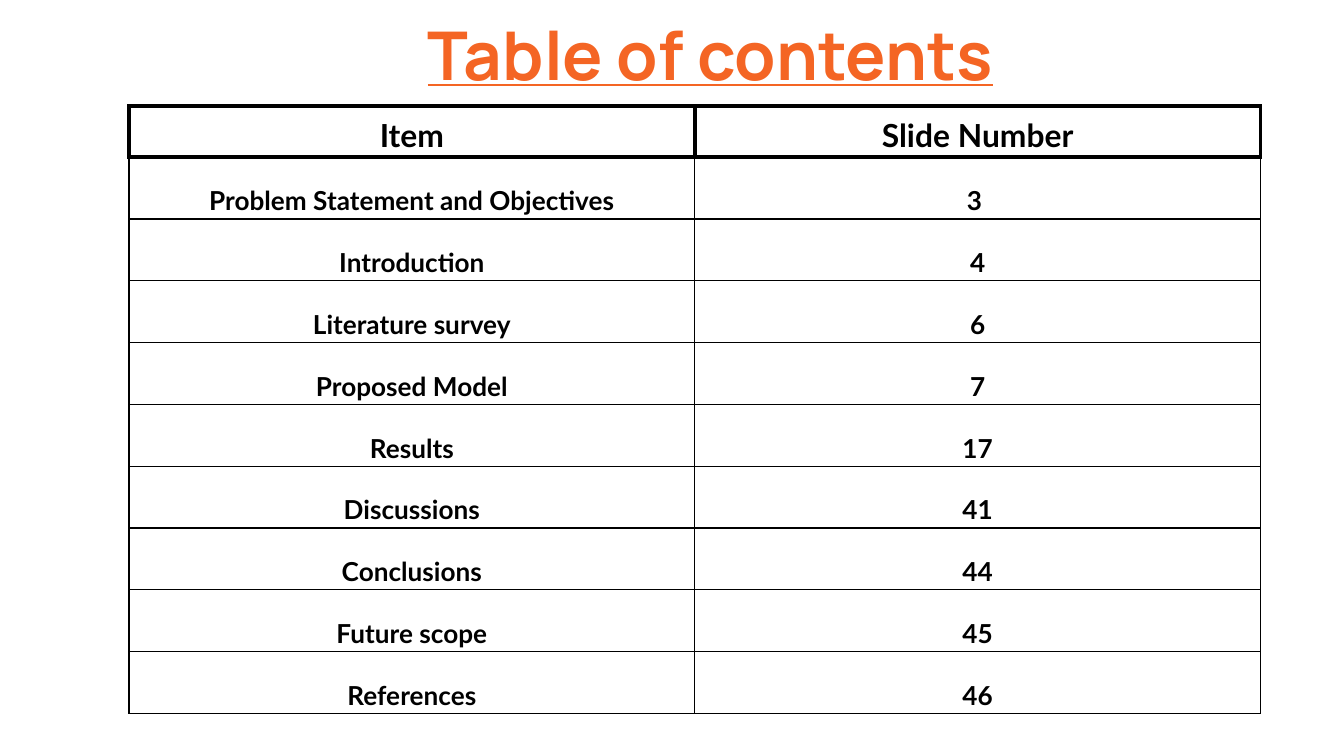
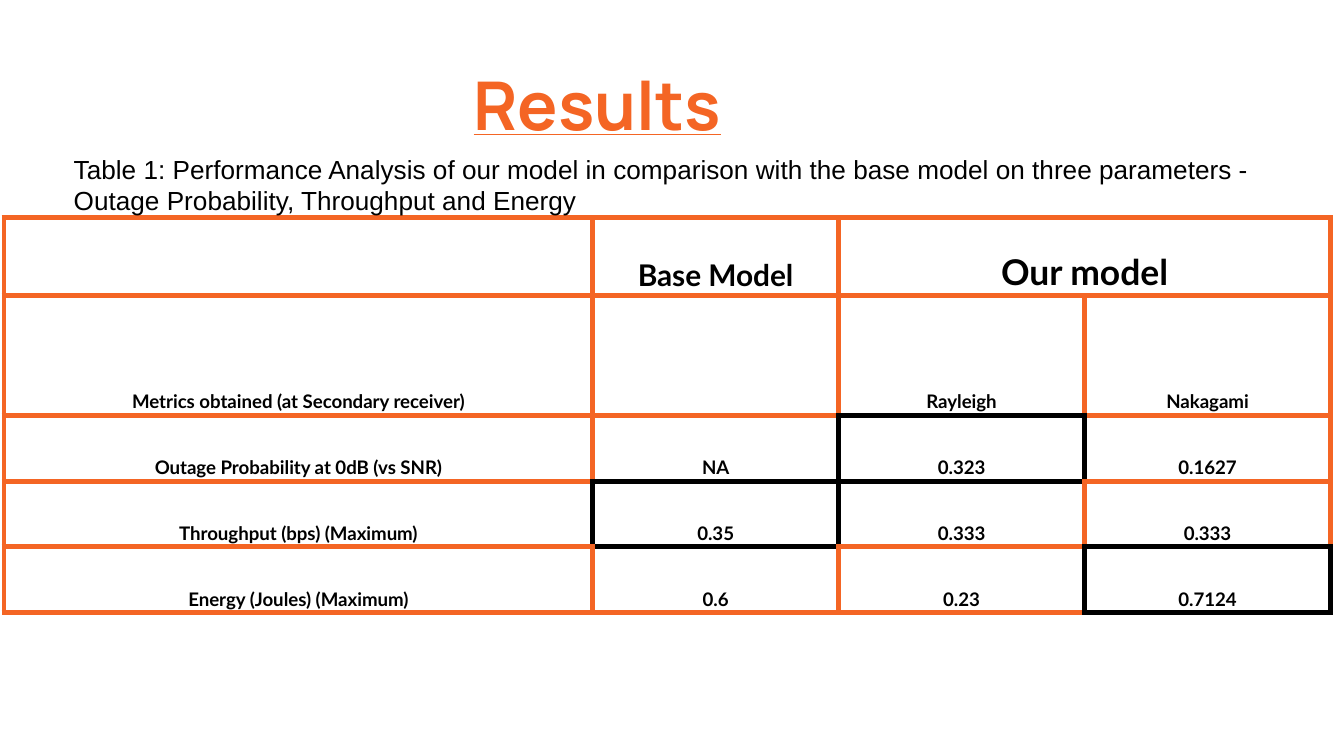
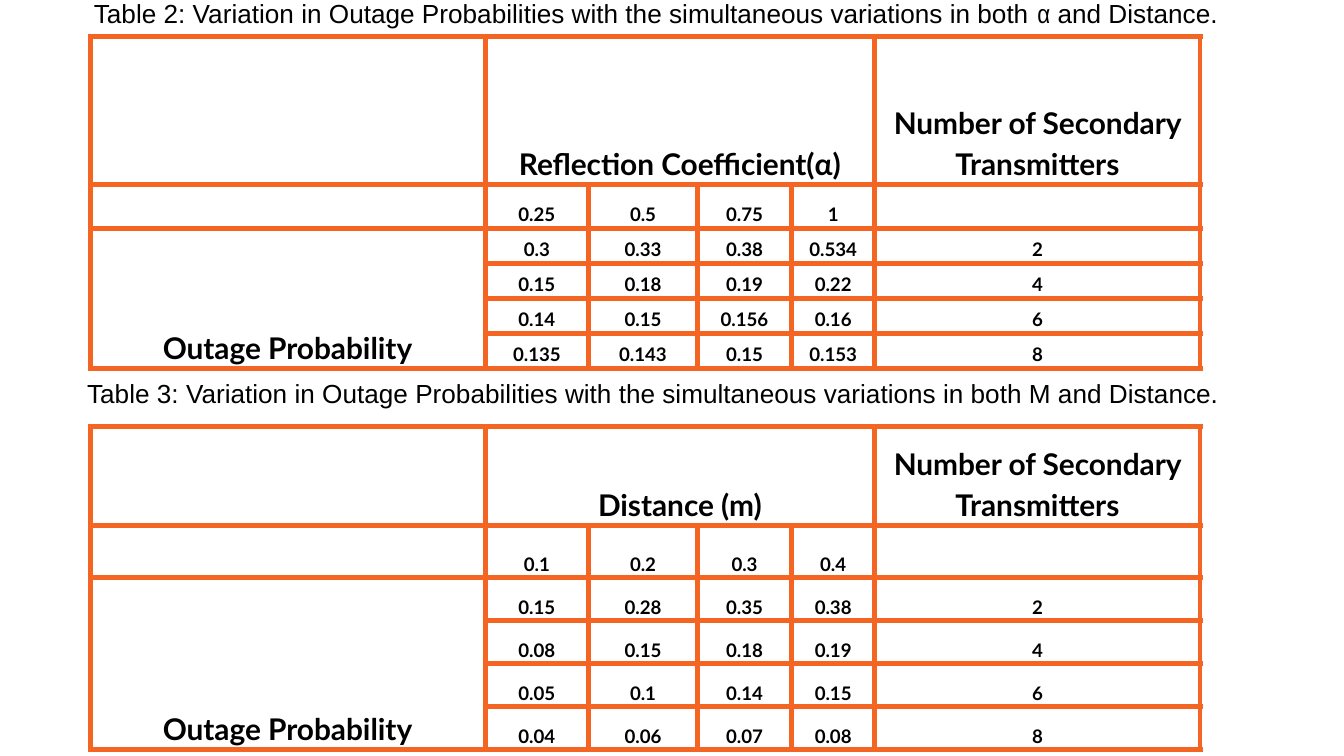
from lxml.etree import SubElement
from pptx import Presentation
from pptx.dml.color import RGBColor
from pptx.enum.text import MSO_ANCHOR, MSO_AUTO_SIZE, PP_ALIGN
from pptx.oxml.ns import qn
from pptx.util import Inches, Pt

COLORS = {"accent": "F46524", "ink": "000000"}
FONTS = {"title": "Manrope", "table": "Lato", "caption": "Arial", "symbol": "Arial Narrow"}
TITLE_ONLY, BLANK = 5, 6

# Border lines as (colour, width in points)
THIN = (COLORS["ink"], 0.75)
HEADER = (COLORS["ink"], 2.25)
GRID = (COLORS["accent"], 3)
BEST = (COLORS["ink"], 3)

# Border element and the row/column step to the neighbour sharing that edge
EDGES = {"a:lnL": (0, -1), "a:lnR": (0, 1), "a:lnT": (-1, 0), "a:lnB": (1, 0)}

CONTENTS = [
    ("Item", "Slide Number"),
    ("Problem Statement and Objectives", "3 "),
    ("Introduction", "4"),
    ("Literature survey", "6"),
    ("Proposed Model", "7"),
    ("Results", "17"),
    ("Discussions", "41"),
    ("Conclusions", "44"),
    ("Future scope", "45"),
    ("References", "46"),
]

PERFORMANCE = [
    ("", "Base Model", "Our model", ""),
    ("Metrics obtained (at Secondary receiver)", "", "Rayleigh", "Nakagami"),
    ("Outage Probability at 0dB (vs SNR)", "NA", "0.323", "0.1627"),
    ("Throughput (bps) (Maximum)", "0.35", "0.333", "0.333"),
    ("Energy (Joules) (Maximum)", "0.6", "0.23", "0.7124"),
]

TRANSMITTERS = ("2", "4", "6", "8")

REFLECTION = [
    ("0.25", "0.5", "0.75", "1"),
    ("0.3", "0.33", "0.38", "0.534"),
    ("0.15", "0.18", "0.19", "0.22"),
    ("0.14", "0.15", "0.156", "0.16"),
    ("0.135", "0.143", "0.15", "0.153"),
]

DISTANCE = [
    ("0.1", "0.2", "0.3", "0.4"),
    ("0.15", "0.28", "0.35", "0.38"),
    ("0.08", "0.15", "0.18", "0.19"),
    ("0.05", "0.1", "0.14", "0.15"),
    ("0.04", "0.06", "0.07", "0.08"),
]


def set_font(font, name, size, color, bold=False):
    font.name = name
    font.size = Pt(size)
    font.bold = bold
    font.color.rgb = RGBColor.from_string(color)


def add_title(slide, text, box, shift):
    """Centre the title in its box, moved right by widening the left inset."""
    title = slide.shapes.title
    title.left, title.top, title.width, title.height = (Inches(v) for v in box)
    frame = title.text_frame
    frame.auto_size = MSO_AUTO_SIZE.NONE
    frame.vertical_anchor = MSO_ANCHOR.TOP
    frame.margin_left = Inches(0.1 + shift)
    frame.margin_top = frame.margin_right = frame.margin_bottom = Inches(0.1)
    frame.text = text
    paragraph = frame.paragraphs[0]
    paragraph.alignment = PP_ALIGN.CENTER
    set_font(paragraph.font, FONTS["title"], 36, COLORS["accent"], bold=True)
    paragraph.font.underline = True


def add_caption(slide, parts, box):
    """Add a caption; every second part is a symbol in the narrow font."""
    frame = slide.shapes.add_textbox(*(Inches(v) for v in box)).text_frame
    frame.word_wrap = True
    paragraph = frame.paragraphs[0]
    set_font(paragraph.font, FONTS["caption"], 14, COLORS["ink"])
    for index, part in enumerate(parts):
        run = paragraph.add_run()
        run.text = part
        if index % 2:
            run.font.name = FONTS["symbol"]


def fill_cell(cell, text, size):
    cell.margin_left = cell.margin_right = Inches(0.03)
    cell.margin_top = cell.margin_bottom = Inches(0.02)
    cell.vertical_anchor = MSO_ANCHOR.BOTTOM
    cell.fill.background()
    cell.text = text
    paragraph = cell.text_frame.paragraphs[0]
    paragraph.alignment = PP_ALIGN.CENTER
    paragraph.line_spacing = 1.15
    set_font(paragraph.font, FONTS["table"], size, COLORS["ink"], bold=True)
    if not text:
        # Keeps an empty cell from stretching its row
        paragraph._p.get_or_add_endParaRPr().set("sz", str(size * 100))


def set_borders(cell, lines):
    properties = cell._tc.get_or_add_tcPr()
    for index, (tag, (color, width)) in enumerate(lines.items()):
        line = SubElement(properties, qn(tag), w=str(Pt(width)))
        SubElement(SubElement(line, qn("a:solidFill")), qn("a:srgbClr"), val=color)
        properties.insert(index, line)


def add_grid(slide, rows, left, top, widths, heights, size, sizes, line,
             marked=(), marked_line=None, merges=()):
    """Add a table; marked cells share their heavier line with their neighbours."""
    table = slide.shapes.add_table(
        len(rows), len(widths), Inches(left), Inches(top),
        Inches(sum(widths)), Inches(sum(heights))).table
    table.first_row = table.horz_banding = False
    for column, width in zip(table.columns, widths):
        column.width = Inches(width)
    for row, height in zip(table.rows, heights):
        row.height = Inches(height)
    for r, texts in enumerate(rows):
        for c, text in enumerate(texts):
            cell = table.cell(r, c)
            fill_cell(cell, text, sizes.get((r, c), size))
            set_borders(cell, {
                tag: marked_line if {(r, c), (r + dr, c + dc)} & set(marked) else line
                for tag, (dr, dc) in EDGES.items()})
    for first, last in merges:
        table.cell(*first).merge(table.cell(*last))


def add_outage_table(slide, heading, values, top, heights):
    """Outage probability by one variable and by the number of transmitters."""
    rows = [("", heading, "", "", "", "Number of Secondary Transmitters"),
            ("", *values[0], "")]
    for index, (line, count) in enumerate(zip(values[1:], TRANSMITTERS)):
        rows.append(("" if index else "Outage Probability", *line, count))
    add_grid(slide, rows, 0.67, top, [2.94, 0.77, 0.81, 0.7, 0.62, 2.42], heights,
             10, {(0, 1): 16, (0, 5): 16, (2, 0): 16}, GRID,
             merges=[((0, 1), (0, 4)), ((2, 0), (5, 0))])


def build_contents(presentation):
    slide = presentation.slides.add_slide(presentation.slide_layouts[TITLE_ONLY])
    header = [(0, 0), (0, 1)]
    add_grid(slide, CONTENTS, 0.96, 0.79, [4.21] * 2, [0.38] + [0.46] * 9,
             14, dict.fromkeys(header, 17), THIN, header, HEADER)
    add_title(slide, "Table of contents", (1.24, 0, 7.69, 0.68), shift=0.4)


def build_results(presentation):
    slide = presentation.slides.add_slide(presentation.slide_layouts[TITLE_ONLY])
    add_grid(slide, PERFORMANCE, 0.03, 1.62, [4.38] + [1.83] * 3,
             [0.58, 0.89] + [0.49] * 3, 10, {(0, 1): 16, (0, 2): 19}, GRID,
             [(2, 2), (3, 1), (4, 3)], BEST, merges=[((0, 2), (0, 3))])
    add_title(slide, "Results", (0.24, 0.37, 7.83, 0.84), shift=0.58)
    add_caption(slide, [
        "Table 1: Performance Analysis of our model in comparison with the base model "
        "on three parameters - Outage Probability, Throughput and Energy",
    ], (0.45, 1.09, 9.32, 0.57))


def build_variations(presentation):
    slide = presentation.slides.add_slide(presentation.slide_layouts[BLANK])
    caption = ("Table {}: Variation in Outage Probabilities with the simultaneous "
               "variations in both ")
    ending = " and Distance."
    # Distance
    add_outage_table(slide, "Distance (m)", DISTANCE, 3.17, [0.74, 0.39] + [0.32] * 4)
    # Reflection coefficient
    add_outage_table(slide, "Reflection Coefficient(α)", REFLECTION, 0.27,
                     [1.1, 0.33] + [0.26] * 4)
    # Captions
    add_caption(slide, [caption.format(2), "α", ending], (0.6, -0.07, 8.74, 0.34))
    add_caption(slide, [caption.format(3) + "M" + ending], (0.55, 2.76, 8.74, 0.34))


def main():
    presentation = Presentation()
    presentation.slide_width = Inches(10)
    presentation.slide_height = presentation.slide_width * 9 // 16
    build_contents(presentation)
    build_results(presentation)
    build_variations(presentation)
    presentation.save("out.pptx")


if __name__ == "__main__":
    main()
